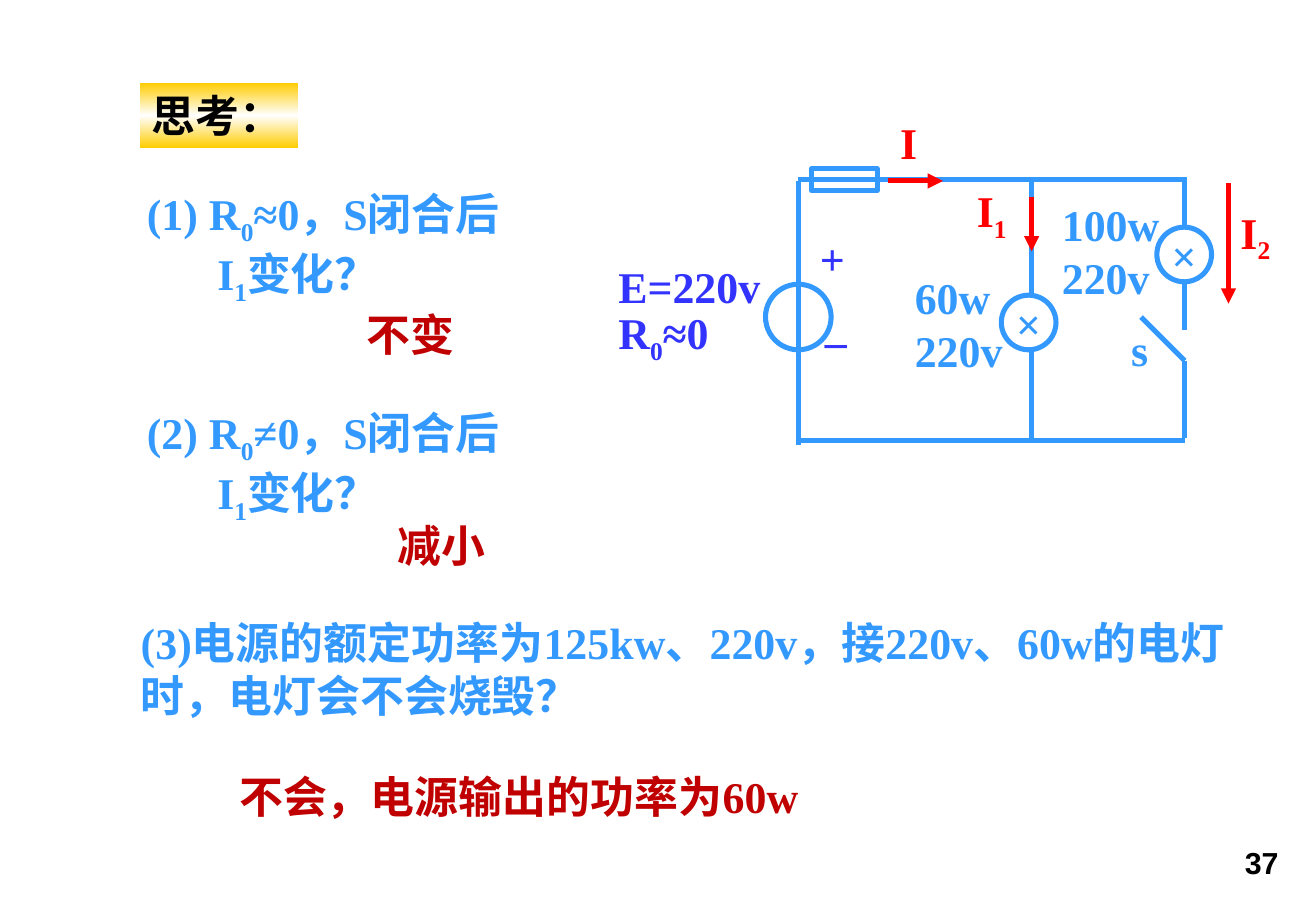
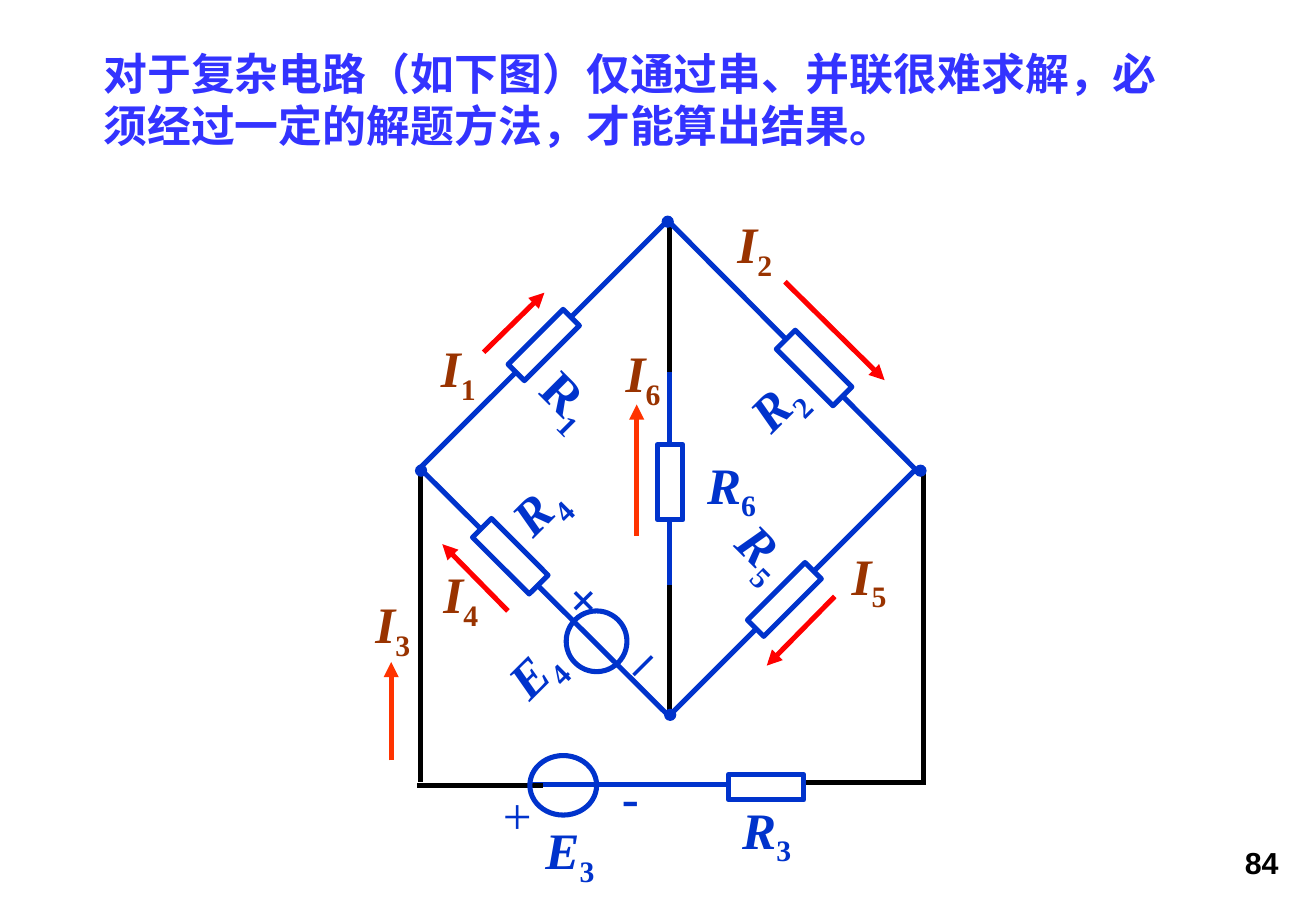
from copy import deepcopy
from lxml.etree import SubElement
from pptx import Presentation
from pptx.dml.color import RGBColor
from pptx.enum.shapes import MSO_CONNECTOR, MSO_SHAPE
from pptx.enum.text import MSO_ANCHOR, MSO_AUTO_SIZE, PP_ALIGN
from pptx.oxml.ns import qn
from pptx.util import Inches, Pt

SKY, VIOLET, BLUE, BLACK = "3399FF", "3333FF", "0033CC", "000000"
RED, ORANGE, DARK_RED, BROWN, WHITE = "FF0000", "FF3300", "C00000", "993300", "FFFFFF"
SERIF, CJK = "Times New Roman", "Noto Sans CJK SC"
RECT, OVAL = MSO_SHAPE.RECTANGLE, MSO_SHAPE.OVAL


def rgb(color):
    return RGBColor.from_string(color)


def write(sp, text, size=26, color=SKY, font=SERIF, bold=True, italic=False,
          align=PP_ALIGN.LEFT, anchor=MSO_ANCHOR.TOP, wrap=True, grow=True, indent=0):
    tf = sp.text_frame
    tf.word_wrap = wrap
    tf.auto_size = MSO_AUTO_SIZE.SHAPE_TO_FIT_TEXT if grow else MSO_AUTO_SIZE.NONE
    tf.vertical_anchor = anchor
    for i, line in enumerate(text.split("\n")):
        p = tf.add_paragraph() if i else tf.paragraphs[0]
        p.alignment = align
        if i and indent:
            p._p.get_or_add_pPr().set("marL", str(Inches(indent)))
        for j, part in enumerate(line.split("|")):
            if not part:
                continue
            subscript = j % 2 == 1
            r = p.add_run()
            r.text = part
            r.font.name = font
            r.font.size = Pt(size)
            r.font.bold = bold
            r.font.italic = italic and not subscript
            r.font.color.rgb = rgb(color)
            rPr = r._r.get_or_add_rPr()
            SubElement(rPr, qn("a:ea")).set("typeface", CJK)
            if subscript:
                rPr.set("baseline", "-25000")


prs = Presentation()
prs.slide_width, prs.slide_height = Inches(10.83), Inches(7.5)

think_wires = [
    (SKY, 6.57, 1.49, 6.57, 3.66),
    (SKY, 6.57, 3.63, 9.75, 3.63),
    (SKY, 6.57, 1.48, 9.75, 1.48),
    (SKY, 8.49, 1.46, 8.49, 3.63),
    (SKY, 9.75, 1.46, 9.75, 2.72),
    (SKY, 9.39, 2.61, 9.75, 2.97),
    (SKY, 9.75, 2.97, 9.75, 3.61),
]
think_arrows = [
    (RED, 7.31, 1.49, 7.76, 1.49),
    (RED, 8.49, 1.62, 8.49, 2.07),
    (RED, 10.11, 1.51, 10.11, 2.5),
]
think_parts = [
    (OVAL, 6.3, 2.34, 0.54, 0.54, 0, None, ""),
    (RECT, 6.68, 1.39, 0.54, 0.18, 0, None, ""),
    (OVAL, 8.24, 2.43, 0.45, 0.45, 0, WHITE, "×"),
    (OVAL, 9.52, 1.87, 0.45, 0.45, 0, WHITE, "×"),
]
source, current, answer = dict(color=VIOLET), dict(color=RED), dict(color=DARK_RED)
think_labels = [
    ("+", 6.65, 1.86, 0.54, 0.54, 0, source),
    ("_", 6.69, 2.41, 0.54, 0.54, 0, source),
    ("E=220v", 4.99, 2.09, 1.9, 0.54, 0, source),
    ("R|0|≈0", 4.99, 2.47, 1.53, 0.54, 0, source),
    ("I", 7.31, 0.9, 1.17, 0.54, 0, current),
    ("I|1", 7.94, 1.46, 1.08, 0.54, 0, current),
    ("I|2", 10.11, 1.64, 0.72, 0.54, 0, current),
    ("60w\n220v", 7.43, 2.18, 1.17, 0.98, 0, {}),
    ("100w\n220v", 8.64, 1.58, 1.17, 0.98, 0, {}),
    ("s", 9.21, 2.61, 0.81, 0.54, 0, {}),
    ("(1) R|0|≈0，S闭合后\nI|1|变化？", 1.11, 1.49, 3.79, 0.98, 0, dict(indent=0.58)),
    ("不变", 2.92, 2.48, 1.44, 0.54, 0, answer),
    ("(2) R|0|≠0，S闭合后\nI|1|变化？", 1.11, 3.29, 3.79, 0.98, 0, dict(indent=0.58)),
    ("减小", 3.17, 4.22, 1.35, 0.54, 0, answer),
    ("(3)电源的额定功率为125kw、220v，接220v、60w的电灯时，电灯会不会烧毁？",
     1.06, 5.02, 9.39, 0.98, 0, {}),
    ("不会，电源输出的功率为60w", 1.87, 6.29, 6.68, 0.54, 0, answer),
]

bridge_wires = [
    (BLUE, 5.99, 6.46, 4.37, 6.46),
    (BLUE, 5.51, 3.06, 5.51, 4.82),
    (BLACK, 5.51, 3.06, 5.51, 1.84),
    (BLACK, 5.51, 4.82, 5.51, 5.88),
    (BLACK, 4.47, 6.47, 3.43, 6.47),
    (BLACK, 7.6, 3.87, 7.6, 6.44),
    (BLACK, 6.58, 6.44, 7.62, 6.44),
    (BLACK, 3.46, 3.87, 3.46, 6.44),
    (BLUE, 5.52, 1.84, 7.57, 3.9),
    (BLUE, 7.53, 3.87, 5.49, 5.91),
    (BLUE, 5.49, 1.82, 3.46, 3.85),
    (BLUE, 3.44, 3.84, 5.52, 5.91),
]
bridge_arrows = [
    (ORANGE, 5.24, 4.41, 5.24, 3.33),
    (ORANGE, 3.22, 6.26, 3.22, 5.45),
    (RED, 6.46, 2.32, 7.28, 3.13),
    (RED, 6.87, 4.91, 6.31, 5.48),
    (RED, 4.18, 5.03, 3.64, 4.48),
    (RED, 3.98, 2.9, 4.48, 2.41),
]
bridge_parts = [
    (OVAL, 4.39, 6.19, 0.49, 0.55, 90, None, ""),
    (OVAL, 4.66, 5.03, 0.5, 0.5, 0, None, ""),
    (RECT, 5.41, 3.66, 0.21, 0.62, 0, WHITE, ""),
    (RECT, 6.59, 2.7, 0.22, 0.66, 315, WHITE, ""),
    (RECT, 6.36, 4.6, 0.19, 0.67, 225, WHITE, ""),
    (RECT, 4.38, 2.52, 0.19, 0.64, 225, WHITE, ""),
    (RECT, 4.09, 4.25, 0.22, 0.66, 315, WHITE, ""),
    (RECT, 6.2, 6.17, 0.21, 0.62, 270, WHITE, ""),
]
for x, y in [(5.47, 5.84), (7.53, 3.83), (5.45, 1.78), (3.42, 3.83)]:
    bridge_parts.append((OVAL, x, y, 0.09, 0.09, 0, BLUE, ""))

sign = dict(size=30.3, color=BLUE, wrap=False)
thin_sign = dict(sign, bold=False)
name = dict(sign, italic=True)
branch = dict(name, color=BROWN)
bridge_labels = [
    ("-", 5.02, 6.25, 0.36, 0.62, 0, sign),
    ("+", 4.04, 6.4, 0.46, 0.62, 0, thin_sign),
    ("+", 4.57, 4.62, 0.46, 0.62, 315, sign),
    ("_", 4.94, 5.02, 0.43, 0.62, 315, sign),
    ("R|1", 4.37, 2.98, 0.67, 0.62, 45, sign),
]
for text, x, y, angle in [("E|4", 4.08, 5.2, 315), ("E|3", 4.39, 6.69, 0),
                          ("R|3", 6.01, 6.52, 0), ("R|6", 5.72, 3.68, 0),
                          ("R|4", 4.11, 3.86, 315), ("R|5", 5.98, 4.24, 45),
                          ("R|2", 6.07, 3, 315)]:
    bridge_labels.append((text, x, y, 0.65, 0.62, angle, name))
for text, x, y in [("I|1", 3.53, 2.72), ("I|2", 5.97, 1.7), ("I|3", 2.99, 4.83),
                   ("I|4", 3.55, 4.58), ("I|5", 6.91, 4.43), ("I|6", 5.05, 2.76)]:
    bridge_labels.append((text, x, y, 0.51, 0.61, 0, branch))

think_title = ("思考：", 1.15, 0.68, 1.3, 0.54, dict(color=BLACK, wrap=False))
bridge_title = ("对于复杂电路（如下图）仅通过串、并联很难求解，必须经过一定的解题方法，才能算出结果。",
                0.75, 0.33, 9.12, 0.98, dict(color=VIOLET, font=CJK))

for number, title, wires, arrows, parts, labels, outline in [
    ("37", think_title, think_wires, think_arrows, think_parts, think_labels, SKY),
    ("84", bridge_title, bridge_wires, bridge_arrows, bridge_parts, bridge_labels, BLUE),
]:
    s = prs.slides.add_slide(prs.slide_layouts[5])
    text, x, y, w, h, fmt = title
    sp = s.shapes.title
    sp.left, sp.top, sp.width, sp.height = Inches(x), Inches(y), Inches(w), Inches(h)
    write(sp, text, grow=False, **fmt)

    for color, x1, y1, x2, y2 in wires + arrows:
        line = s.shapes.add_connector(MSO_CONNECTOR.STRAIGHT, Inches(x1), Inches(y1),
                                      Inches(x2), Inches(y2))
        line.line.color.rgb = rgb(color)
        line.line.width = Pt(3)
        if (color, x1, y1, x2, y2) in arrows:
            ln = line._element.spPr.find(qn("a:ln"))
            SubElement(ln, qn("a:tailEnd")).set("type", "triangle")
        SubElement(line._element.spPr, qn("a:effectLst"))

    for kind, x, y, w, h, angle, fill, text in parts:
        sp = s.shapes.add_shape(kind, Inches(x), Inches(y), Inches(w), Inches(h))
        sp.shadow.inherit = False
        sp.rotation = angle
        sp.line.color.rgb = rgb(outline)
        sp.line.width = Pt(0.75 if fill == BLUE else 3)
        if fill:
            sp.fill.solid()
            sp.fill.fore_color.rgb = rgb(fill)
        else:
            sp.fill.background()
        if text:
            write(sp, text, align=PP_ALIGN.CENTER, anchor=MSO_ANCHOR.MIDDLE,
                  wrap=False, grow=False)

    page = (number, 7.63, 6.9, 2.99, 0.4, 0,
            dict(size=18, font="Arial", color=BLACK, align=PP_ALIGN.RIGHT))
    for text, x, y, w, h, angle, fmt in labels + [page]:
        sp = s.shapes.add_textbox(Inches(x), Inches(y), Inches(w), Inches(h))
        sp.rotation = angle
        write(sp, text, **fmt)

banner = prs.slides[0].shapes.title
banner.fill.gradient()
banner.fill.gradient_angle = 90
stops = banner._element.spPr.find(qn("a:gradFill")).find(qn("a:gsLst"))
stops.insert(1, deepcopy(stops[0]))
for stop, position, color in zip(banner.fill.gradient_stops, (0, 0.5, 1),
                                 ("FFCC00", WHITE, "FFCC00")):
    stop.position = position
    stop.color.rgb = rgb(color)

prs.save("out.pptx")
